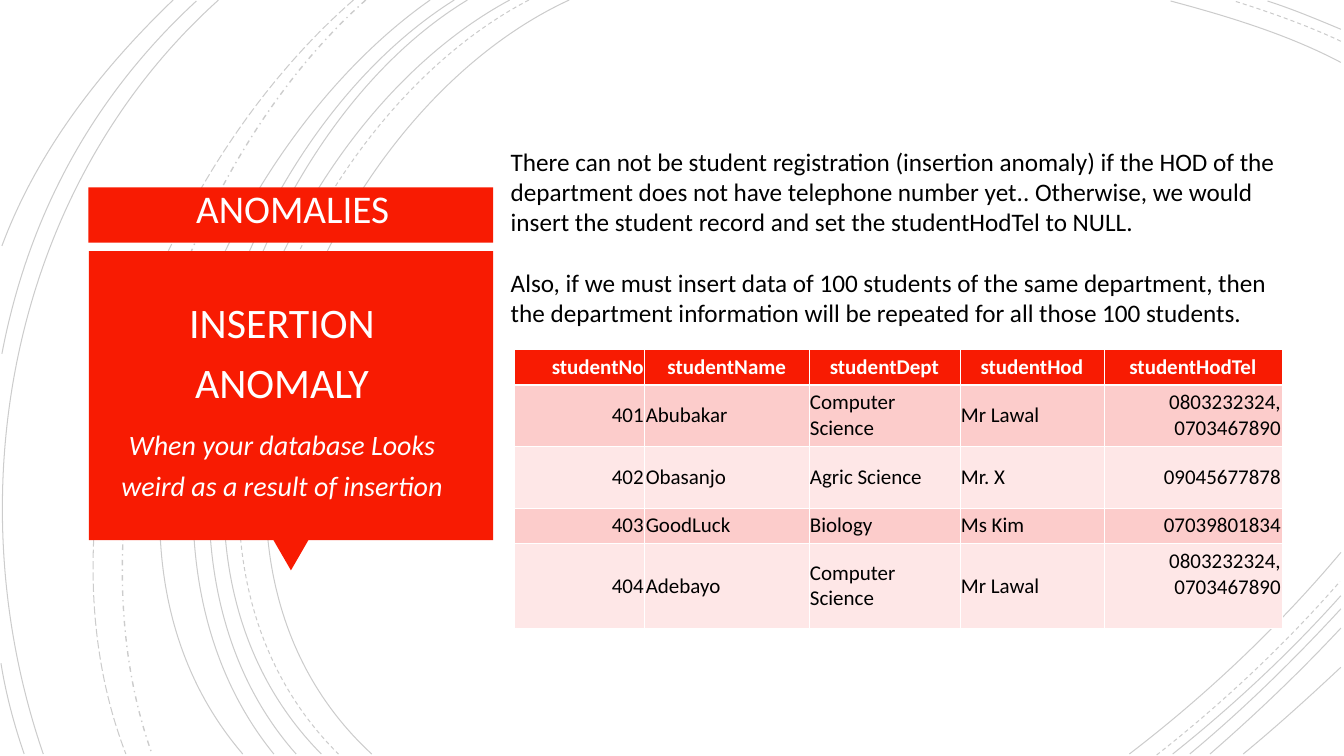
from dataclasses import dataclass

from lxml import etree
from pptx import Presentation
from pptx import util as u
from pptx.dml.color import RGBColor
from pptx.enum import dml, shapes, text
from pptx.oxml.ns import qn

LEFT, CENTER, RIGHT = text.PP_ALIGN.LEFT, text.PP_ALIGN.CENTER, text.PP_ALIGN.RIGHT
DASH = dml.MSO_LINE.DASH


@dataclass(frozen=True)
class Theme:
    """Colours, font and type sizes of the slide."""
    font: str = "Calibri"
    red: str = "F81B02"
    bands: tuple = ("FCCCCB", "FEE7E7")
    white: str = "FFFFFF"
    title_white: str = "FFFEFF"
    black: str = "000000"
    title: float = 28
    heading: float = 30
    tagline: float = 20
    body: float = 18
    cell: float = 15
    hairline: float = 0.75
    border: float = 0.45
    header_border: float = 1.47


class Deck:
    """Draws styled elements on the current slide."""

    def __init__(self, theme, width, height):
        """Open a deck with one blank slide."""
        self.theme = theme
        self.prs = Presentation()
        self.prs.slide_width, self.prs.slide_height = u.Pt(width), u.Pt(height)
        self.slide = self.prs.slides.add_slide(self.prs.slide_layouts[6])

    def arc(self, points, dash=dml.MSO_LINE.SOLID, width=None):
        """Draw a faint cubic curve from eight control coordinates."""
        start, *controls = [tuple(map(u.Pt, points[i:i + 2])) for i in range(0, 8, 2)]
        builder = self.slide.shapes.build_freeform(*start, scale=1)
        builder.add_line_segments(controls, close=False)
        sp = builder.convert_to_shape()
        outline = next(sp._element.iter(qn("a:path")))
        curve = etree.SubElement(outline, qn("a:cubicBezTo"))
        for segment in outline.findall(qn("a:lnTo")):
            curve.append(segment[0])
            outline.remove(segment)
        sp.shadow.inherit = False
        sp.fill.background()
        sp.line.color.rgb = RGBColor.from_string(self.theme.black)
        sp.line.width = u.Pt(width or self.theme.hairline)
        sp.line.dash_style = dash
        color = next(sp._element.iter(qn("a:srgbClr")))
        etree.SubElement(color, qn("a:alpha"), val="20000")

    def block(self, kind, box, rotation=0):
        """Draw a plain red preset shape."""
        sp = self.slide.shapes.add_shape(kind, *map(u.Pt, box))
        sp.shadow.inherit = False
        sp.rotation = rotation
        sp.fill.solid()
        sp.fill.fore_color.rgb = RGBColor.from_string(self.theme.red)
        sp.line.fill.background()

    def style(self, p, size, color, align=LEFT, bold=False, italic=False):
        """Format one paragraph and its runs."""
        p.alignment = align
        for r in p.runs:
            r.font.name, r.font.size = self.theme.font, u.Pt(size)
            r.font.bold, r.font.italic = bold, italic
            r.font.color.rgb = RGBColor.from_string(color)

    def text(self, box, lines, color, align=LEFT, anchor=text.MSO_ANCHOR.MIDDLE,
             spacing=1.0, gap=0, inset=(7.2, 3.6)):
        """Add a wrapped text box of (text, size, italic) paragraphs."""
        tf = self.slide.shapes.add_textbox(*map(u.Pt, box)).text_frame
        tf.word_wrap, tf.vertical_anchor = True, anchor
        tf.margin_left = tf.margin_right = u.Pt(inset[0])
        tf.margin_top = tf.margin_bottom = u.Pt(inset[1])
        for i, (line, size, italic) in enumerate(lines):
            p = tf.add_paragraph() if i else tf.paragraphs[0]
            p.text = line
            p.line_spacing = spacing
            p.space_before = u.Pt(gap if i else 0)
            self.style(p, size, color, align, italic=italic)

    def borders(self, cell, row):
        """Give a cell white borders, thicker under the header."""
        heavy = {0: "lnB", 1: "lnT"}.get(row)
        for i, side in enumerate(("lnL", "lnR", "lnT", "lnB")):
            width = self.theme.header_border if side == heavy else self.theme.border
            ln = etree.Element(qn(f"a:{side}"), w=str(u.Pt(width)))
            fill = etree.SubElement(ln, qn("a:solidFill"))
            etree.SubElement(fill, qn("a:srgbClr"), val=self.theme.white)
            cell._tc.get_or_add_tcPr().insert(i, ln)

    def table(self, left, top, widths, heights, rows):
        """Add a banded table with a red header row."""
        th = self.theme
        frame = self.slide.shapes.add_table(
            len(rows), len(widths), u.Pt(left), u.Pt(top), u.Pt(sum(widths)), u.Pt(sum(heights)))
        table = frame.table
        table.first_row = table.horz_banding = False
        for column, width in zip(table.columns, widths):
            column.width = u.Pt(width)
        for y, (values, height) in enumerate(zip(rows, heights)):
            table.rows[y].height = u.Pt(height)
            for x, value in enumerate(values):
                cell = table.cell(y, x)
                cell.text = value
                cell.vertical_anchor = text.MSO_ANCHOR.MIDDLE
                cell.margin_left = cell.margin_right = u.Pt(0.75)
                cell.margin_top = cell.margin_bottom = u.Pt(3.6)
                cell.fill.solid()
                fill = th.bands[(y - 1) % 2] if y else th.red
                cell.fill.fore_color.rgb = RGBColor.from_string(fill)
                numeric = x == 0 or (y and x == len(widths) - 1)
                align = RIGHT if numeric else LEFT if y else CENTER
                self.style(cell.text_frame.paragraphs[0], th.cell,
                           th.black if y else th.white, align, bold=y == 0)
                self.borders(cell, y)
        return table


ARCS = [
    ((406.8, 0, 226.8, 82.8, 103, 388.8, 265.7, 538.6),),
    ((958.3, 44.6, 920.2, 24.5, 877, 11.5, 836.6, 0.7),),
    ((807.1, 538.6, 861.8, 496.8, 913.7, 447.8, 958.3, 394.6),),
    ((378, 0, 205.2, 90, 88.6, 386.6, 241.9, 538.6), DASH),
    ((958.3, 29.5, 933.8, 18, 907.2, 8.6, 882, 0.7), DASH),
    ((826.6, 539.3, 873.4, 502.6, 918, 460.8, 957.6, 415.4), DASH),
    ((364.3, 0, 194.4, 91.4, 79.2, 386.6, 229.7, 538.6),),
    ((958.3, 20.9, 941, 13.7, 923.8, 6.5, 905.8, 0.7),),
    ((838.1, 538.6, 880.6, 504.7, 921.6, 466.6, 958.3, 425.5),),
    ((334.1, 0, 175.7, 95.8, 79.2, 389.5, 211.7, 538.6),),
    ((850.3, 538.6, 888.5, 506.9, 924.5, 471.6, 958.3, 434.9),),
    ((324.7, 0, 166.3, 99.4, 69.8, 383.8, 195.8, 538.6),),
    ((864.7, 538.6, 897.1, 510.5, 928.8, 480.2, 958.3, 448.6),),
    ((307.4, 0, 156.2, 105.8, 38.2, 380.9, 173.5, 538.6),),
    ((888.5, 538.6, 912.2, 519.1, 935.3, 498.2, 958.3, 476.6),),
    ((261.4, 0, 126.7, 119.5, 46.8, 366.5, 108.7, 538.6), dml.MSO_LINE.DASH_DOT, 1),
    ((252.7, 0, 113, 121.7, 20.9, 359.3, 90, 538.6), dml.MSO_LINE.LONG_DASH),
    ((156.2, 0, 7.9, 133.2, -33.1, 352.8, 31, 538.6),),
    ((140.4, 0.7, 66.2, 69.1, 20.2, 154.1, 1.4, 252.7),),
    ((0.7, 473.8, 4.3, 496.1, 10.1, 517.7, 17.3, 538.6),),
    ((123.8, 0, 72, 49.7, 26.6, 108, 1.4, 175.7),),
]

STUDENTS = [
    ("studentNo", "studentName", "studentDept", "studentHod", "studentHodTel"),
    ("401", "Abubakar", "Computer Science", "Mr Lawal", "0803232324, 0703467890"),
    ("402", "Obasanjo", "Agric Science", "Mr. X", "09045677878"),
    ("403", "GoodLuck", "Biology", "Ms Kim", "07039801834"),
    ("404", "Adebayo", "Computer Science", "Mr Lawal", "0803232324, 0703467890"),
]

REGISTRATION = (
    "There can not be student registration (insertion anomaly) if the HOD of the department "
    "does not have telephone number yet.. Otherwise, we would insert the student record and "
    "set the studentHodTel to NULL.")
REPETITION = (
    "Also, if we must insert data of 100 students of the same department, then the department "
    "information will be repeated for all those 100 students.")


def main():
    """Build the insertion anomaly slide."""
    th = Theme()
    deck = Deck(th, 960.5, 540)
    for arc in ARCS:
        deck.arc(*arc)
    deck.block(shapes.MSO_SHAPE.RECTANGLE, (63.1, 133.8, 289.4, 39.6))
    deck.block(shapes.MSO_SHAPE.ISOSCELES_TRIANGLE, (195.3, 385.6, 25.2, 21.8), 180)
    deck.block(shapes.MSO_SHAPE.RECTANGLE, (63.6, 179.4, 288.9, 206.4))
    deck.text((83.5, 131, 251.3, 40.3), [("ANOMALIES", th.title, False)], th.title_white,
              CENTER, spacing=0.85, inset=(18, 18))
    deck.text((64.1, 187.2, 275, 188.6),
              [("INSERTION ANOMALY", th.heading, False),
               ("When your database Looks weird as a result of insertion", th.tagline, True)],
              th.white, CENTER, spacing=1.2, gap=10)
    table = deck.table(367.4, 249.3, (93.4, 117.3, 107.9, 102.9, 127.2),
                       (25.5, 44, 44, 25.5, 60.5), STUDENTS)
    table.cell(4, 4).margin_bottom = u.Pt(20.3)
    deck.text((357.9, 100.8, 575.3, 180),
              [(REGISTRATION, th.body, False), (REPETITION, th.body, False)],
              th.black, anchor=text.MSO_ANCHOR.TOP, gap=22)
    deck.prs.save("out.pptx")


if __name__ == "__main__":
    main()
